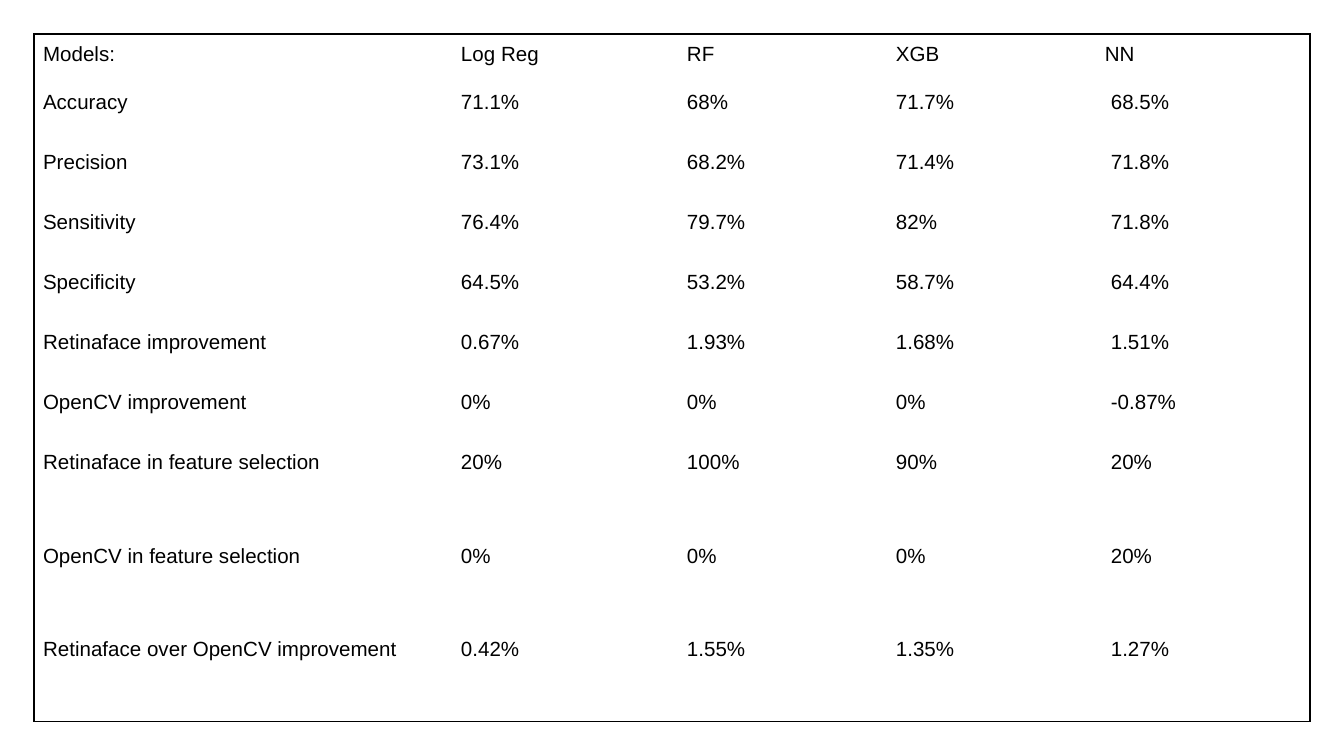
"""Build a slide with a table comparing four classification models."""
from lxml import etree
from pptx import Presentation
from pptx.dml.color import RGBColor
from pptx.enum.text import MSO_ANCHOR
from pptx.oxml.ns import qn
from pptx.util import Emu, Pt

TOP = MSO_ANCHOR.TOP
EMU_PER_PX = 914400 / 134.4
BLACK = "000000"
MARGIN = 9
NN_MARGIN = 15
COLUMN_WIDTHS = [418, 226, 209, 209, 214]
ROW_HEIGHTS = [48] + [60] * 6 + [94, 93, 93]
RESULTS = [
    ["Models:", "Log Reg", "RF", "XGB", "NN"],
    ["Accuracy", "71.1%", "68%", "71.7%", "68.5%"],
    ["Precision", "73.1%", "68.2%", "71.4%", "71.8%"],
    ["Sensitivity", "76.4%", "79.7%", "82%", "71.8%"],
    ["Specificity", "64.5%", "53.2%", "58.7%", "64.4%"],
    ["Retinaface improvement", "0.67%", "1.93%", "1.68%", "1.51%"],
    ["OpenCV improvement", "0%", "0%", "0%", "-0.87%"],
    ["Retinaface in feature selection", "20%", "100%", "90%", "20%"],
    ["OpenCV in feature selection", "0%", "0%", "0%", "20%"],
    ["Retinaface over OpenCV improvement", "0.42%", "1.55%", "1.35%", "1.27%"],
]


def px(length):
    return Emu(round(length * EMU_PER_PX))


def color(hex_value):
    return RGBColor.from_string(hex_value)


def set_borders(cell, outer_sides):
    properties = cell._tc.get_or_add_tcPr()
    for position, side in enumerate(("L", "R", "T", "B")):
        outer = side in outer_sides
        border = etree.Element(qn(f"a:ln{side}"), w=str(Pt(1 if outer else 0.75)))
        if outer:
            fill = etree.SubElement(border, qn("a:solidFill"))
            etree.SubElement(fill, qn("a:srgbClr"), val=BLACK)
        else:
            etree.SubElement(border, qn("a:noFill"))
        properties.insert(position, border)


def fill_cell(cell, text, left_margin, outer_sides):
    cell.fill.background()
    cell.vertical_anchor = TOP
    cell.margin_left = px(left_margin)
    cell.margin_right = cell.margin_top = cell.margin_bottom = px(MARGIN)
    cell.text = text
    font = cell.text_frame.paragraphs[0].font
    font.name = "Arial"
    font.size = Pt(11)
    font.color.rgb = color(BLACK)
    set_borders(cell, outer_sides)


def add_results_table(slide, left, top):
    last_row, last_column = len(ROW_HEIGHTS) - 1, len(COLUMN_WIDTHS) - 1
    table = slide.shapes.add_table(
        len(ROW_HEIGHTS), len(COLUMN_WIDTHS), px(left), px(top),
        px(sum(COLUMN_WIDTHS)), px(sum(ROW_HEIGHTS))).table
    table.first_row = table.horz_banding = False
    for column, width in zip(table.columns, COLUMN_WIDTHS):
        column.width = px(width)
    for row, height in zip(table.rows, ROW_HEIGHTS):
        row.height = px(height)
    for r, result in enumerate(RESULTS):
        for c, text in enumerate(result):
            edges = {"L": c == 0, "R": c == last_column,
                     "T": r == 0, "B": r == last_row}
            outer_sides = [side for side, is_outer in edges.items() if is_outer]
            is_nn_value = r > 0 and c == last_column
            fill_cell(table.cell(r, c), text,
                      NN_MARGIN if is_nn_value else MARGIN, outer_sides)


def main():
    presentation = Presentation()
    presentation.slide_width = px(1344)
    presentation.slide_height = px(756)
    slide = presentation.slides.add_slide(presentation.slide_layouts[6])
    add_results_table(slide, 34, 34)
    presentation.save("out.pptx")


if __name__ == "__main__":
    main()
